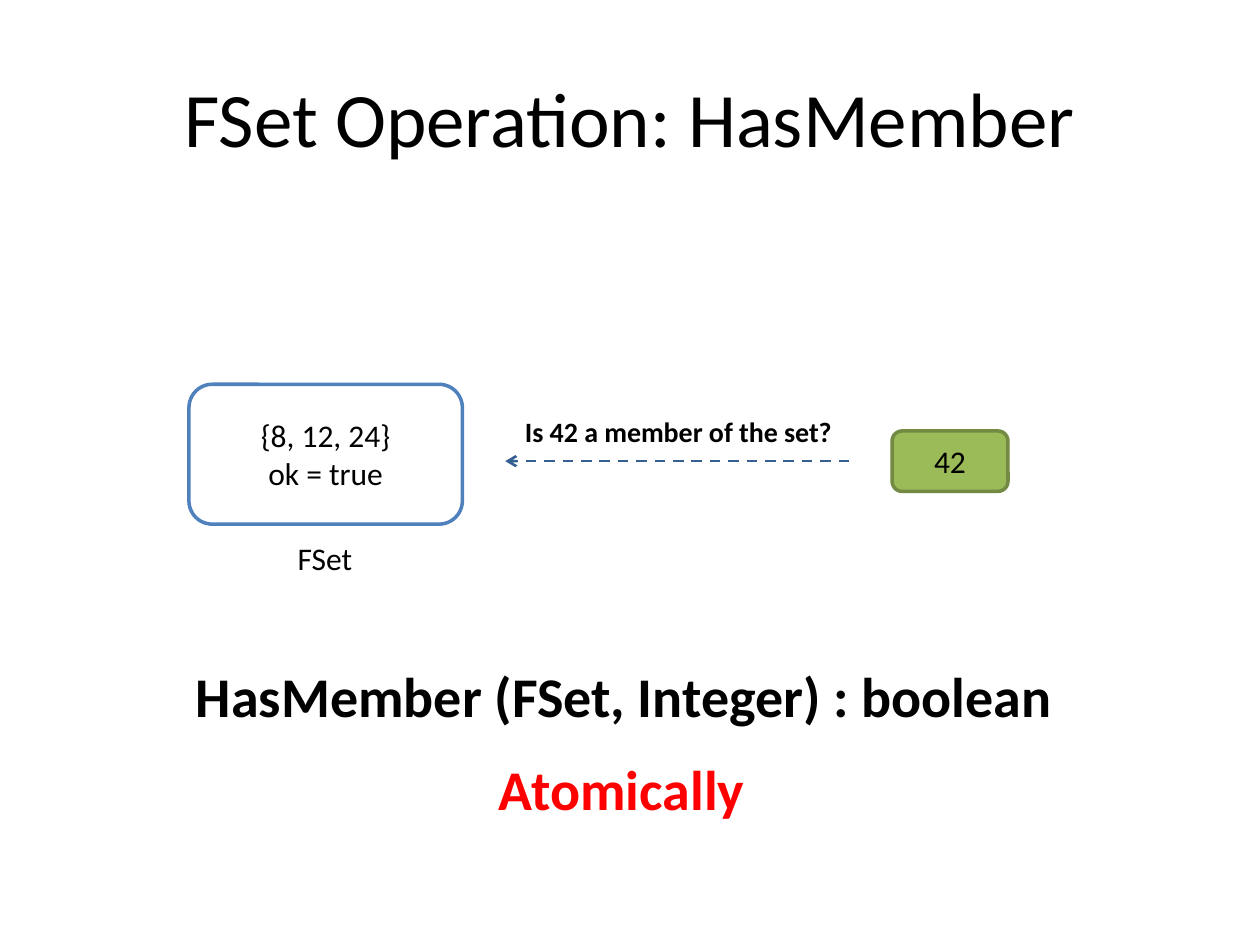
from dataclasses import dataclass

from lxml import etree
from pptx import Presentation
from pptx.dml.color import RGBColor
from pptx.enum import dml, shapes, text
from pptx.oxml import ns
from pptx.util import Emu, Pt

PX = 9144  # EMU per px, 100 px to the inch


@dataclass(frozen=True)
class Theme:
    font: str = "Calibri"
    ink: str = "000000"
    paper: str = "FFFFFF"
    accent: str = "FF0000"
    set_line: str = "4F81BD"
    value_fill: str = "9BBB59"
    value_line: str = "738A42"
    arrow: str = "376092"
    title: int = 44
    signature: int = 32
    body: int = 18
    question: int = 16


THEME = Theme()


def px(*lengths):
    return [Emu(length * PX) for length in lengths]


def color(value):
    return RGBColor.from_string(value)


def write(shape, lines, size, ink=THEME.ink, bold=False, wrap=True,
          anchor=text.MSO_ANCHOR.MIDDLE):
    frame = shape.text_frame
    frame.word_wrap = wrap
    frame.vertical_anchor = anchor
    frame.text = "\n".join(lines)
    for paragraph in frame.paragraphs:
        paragraph.alignment = text.PP_ALIGN.CENTER
        font = paragraph.font
        font.name, font.size, font.bold = THEME.font, Pt(size), bold
        font.color.rgb = color(ink)


def add_label(slide, box, label, size, anchor=text.MSO_ANCHOR.TOP, **style):
    shape = slide.shapes.add_textbox(*px(*box))
    write(shape, [label], size, anchor=anchor, **style)


def add_node(slide, box, lines, fill, outline):
    shape = slide.shapes.add_shape(
        shapes.MSO_SHAPE.ROUNDED_RECTANGLE, *px(*box))
    shape.shadow.inherit = False
    shape.fill.solid()
    shape.fill.fore_color.rgb = color(fill)
    shape.line.color.rgb = color(outline)
    shape.line.width = Pt(2)
    write(shape, lines, THEME.body)


def add_dashed_arrow(slide, start_x, end_x, y):
    arrow = slide.shapes.add_connector(
        shapes.MSO_CONNECTOR.STRAIGHT, *px(start_x, y, end_x, y))
    arrow.line.color.rgb = color(THEME.arrow)
    arrow.line.width = Pt(1.5)
    arrow.line.dash_style = dml.MSO_LINE.DASH
    etree.SubElement(arrow.line._get_or_add_ln(), ns.qn("a:tailEnd"),
                     type="arrow")
    etree.SubElement(arrow._element.spPr, ns.qn("a:effectLst"))


def add_title(slide, left, top, width, height):
    add_label(slide, (left, top, width, height), "FSet Operation: HasMember",
              THEME.title, anchor=text.MSO_ANCHOR.MIDDLE)


def add_membership_query(slide, left, top, width, height):
    # The set and its caption
    add_node(slide, (left, top, 217, 111), ["{8, 12, 24}", "ok = true"],
             THEME.paper, THEME.set_line)
    add_label(slide, (left + 76, top + height - 40, 64, 40), "FSet",
              THEME.body, wrap=False)

    # The value asked about
    add_node(slide, (left + width - 92, top + 37, 92, 48), ["42"],
             THEME.value_fill, THEME.value_line)

    # The question, pointing from the value to the set
    add_label(slide, (left + 252, top + 19, 273, 37),
              "Is 42 a member of the set?", THEME.question, bold=True)
    add_dashed_arrow(slide, left + 524, left + 251, top + 61)


def add_signature(slide, left, top, width, height):
    line_height = 64
    add_label(slide, (left, top, width, line_height),
              "HasMember (FSet, Integer) : boolean", THEME.signature,
              bold=True, wrap=False)
    add_label(slide, (left + 241, top + height - line_height, 217, line_height),
              "Atomically", THEME.signature, ink=THEME.accent,
              bold=True, wrap=False)


def main():
    presentation = Presentation()
    presentation.slide_width, presentation.slide_height = px(1000, 750)
    slide = presentation.slides.add_slide(presentation.slide_layouts[6])
    add_title(slide, 50, 30, 900, 125)
    add_membership_query(slide, 150, 305, 650, 158)
    add_signature(slide, 144, 520, 703, 138)
    presentation.save("out.pptx")


if __name__ == "__main__":
    main()
